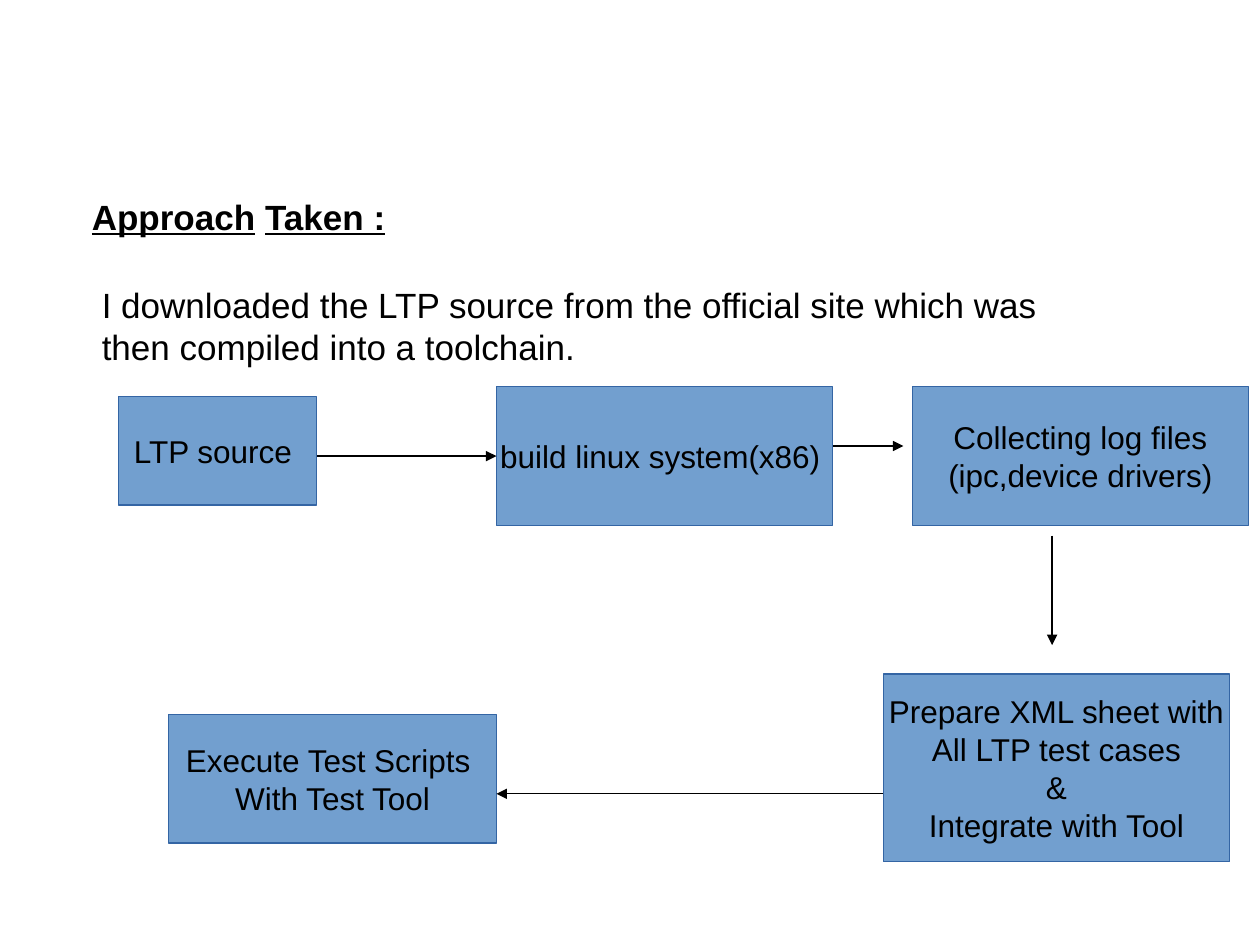
from lxml.etree import SubElement
from pptx import Presentation
from pptx.dml.color import RGBColor
from pptx.enum.shapes import MSO_CONNECTOR as Line, MSO_SHAPE as Shape
from pptx.enum.text import MSO_ANCHOR as Anchor, PP_ALIGN as Align
from pptx.oxml.ns import qn
from pptx.util import Inches, Pt

COLORS = {"ink": "000000", "box": "729FCF", "edge": "3465A4"}
HEADING = [[("Approach", True), (" ", False), ("Taken :", True)]]
SUMMARY = [
    "I downloaded the LTP source from the official site which was ",
    "then compiled into a toolchain.",
]
STEPS = [
    ((0.94, 3.15, 1.57, 0.86), ["LTP source "]),
    ((3.94, 3.07, 2.67, 1.1), ["build linux system(x86) "]),
    ((7.24, 3.07, 2.67, 1.1), ["Collecting log files", "(ipc,device drivers)"]),
    ((7.01, 5.35, 2.75, 1.49),
     ["Prepare XML sheet with", "All LTP test cases", "&", "Integrate with Tool"]),
    ((1.34, 5.67, 2.6, 1.02), ["Execute Test Scripts ", "With Test Tool"]),
]
ARROWS = [
    (2.52, 3.62, 3.94, 3.62),
    (6.61, 3.54, 7.17, 3.54),
    (8.35, 4.25, 8.35, 5.12),
    (7.01, 6.3, 3.94, 6.3),
]


def color(name):
    return RGBColor.from_string(COLORS[name])


def write(frame, lines, size=20, bold=False, align=Align.LEFT,
          anchor=Anchor.TOP, wrap=True):
    frame.word_wrap = wrap
    frame.vertical_anchor = anchor
    for index, line in enumerate(lines):
        paragraph = frame.paragraphs[0] if index == 0 else frame.add_paragraph()
        paragraph.alignment = align
        for text, underline in [(line, False)] if isinstance(line, str) else line:
            run = paragraph.add_run()
            run.text = text
            font = run.font
            font.name, font.size = "Arial", Pt(size)
            font.bold, font.underline = bold, underline
            font.color.rgb = color("ink")


presentation = Presentation()
presentation.slide_width, presentation.slide_height = Inches(10), Inches(7.5)
slide = presentation.slides.add_slide(presentation.slide_layouts[6])
shapes = slide.shapes

heading = shapes.add_textbox(*map(Inches, (0.63, 1.5, 8.89, 5.76)))
write(heading.text_frame, HEADING, bold=True)
summary = shapes.add_textbox(*map(Inches, (0.71, 2.2, 9.36, 0.72)))
write(summary.text_frame, SUMMARY)

for place, lines in STEPS:
    step = shapes.add_shape(Shape.RECTANGLE, *map(Inches, place))
    step.shadow.inherit = False
    step.fill.solid()
    step.fill.fore_color.rgb = color("box")
    step.line.color.rgb = color("edge")
    step.line.width = Pt(0.75)
    write(step.text_frame, lines, size=18, align=Align.CENTER,
          anchor=Anchor.MIDDLE, wrap=False)

for ends in ARROWS:
    arrow = shapes.add_connector(Line.STRAIGHT, *map(Inches, ends))
    arrow.line.color.rgb = color("ink")
    arrow.line.width = Pt(0.75)
    SubElement(arrow.line._get_or_add_ln(), qn("a:tailEnd"), type="triangle")
    SubElement(arrow._element.spPr, qn("a:effectLst"))

presentation.save("out.pptx")
